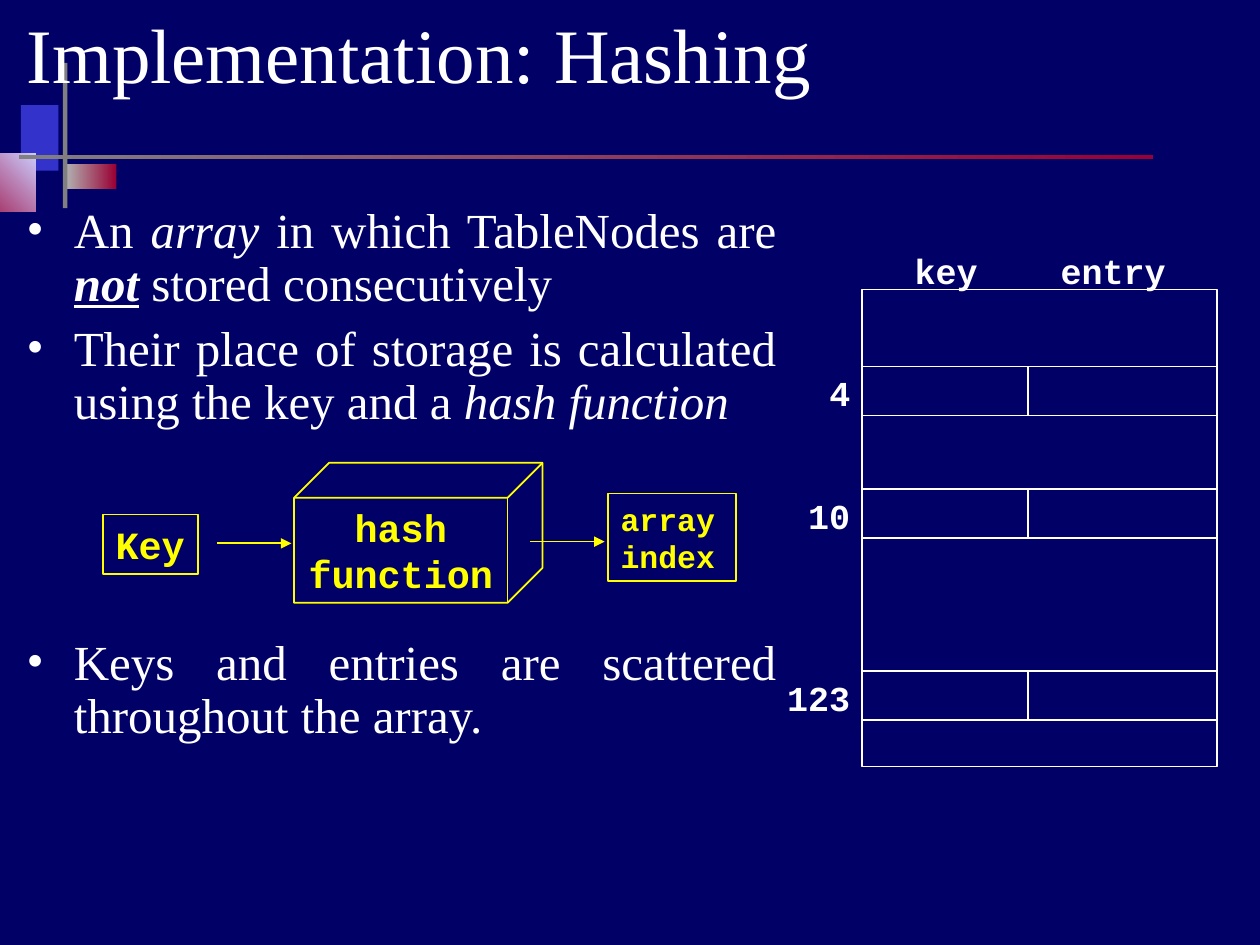
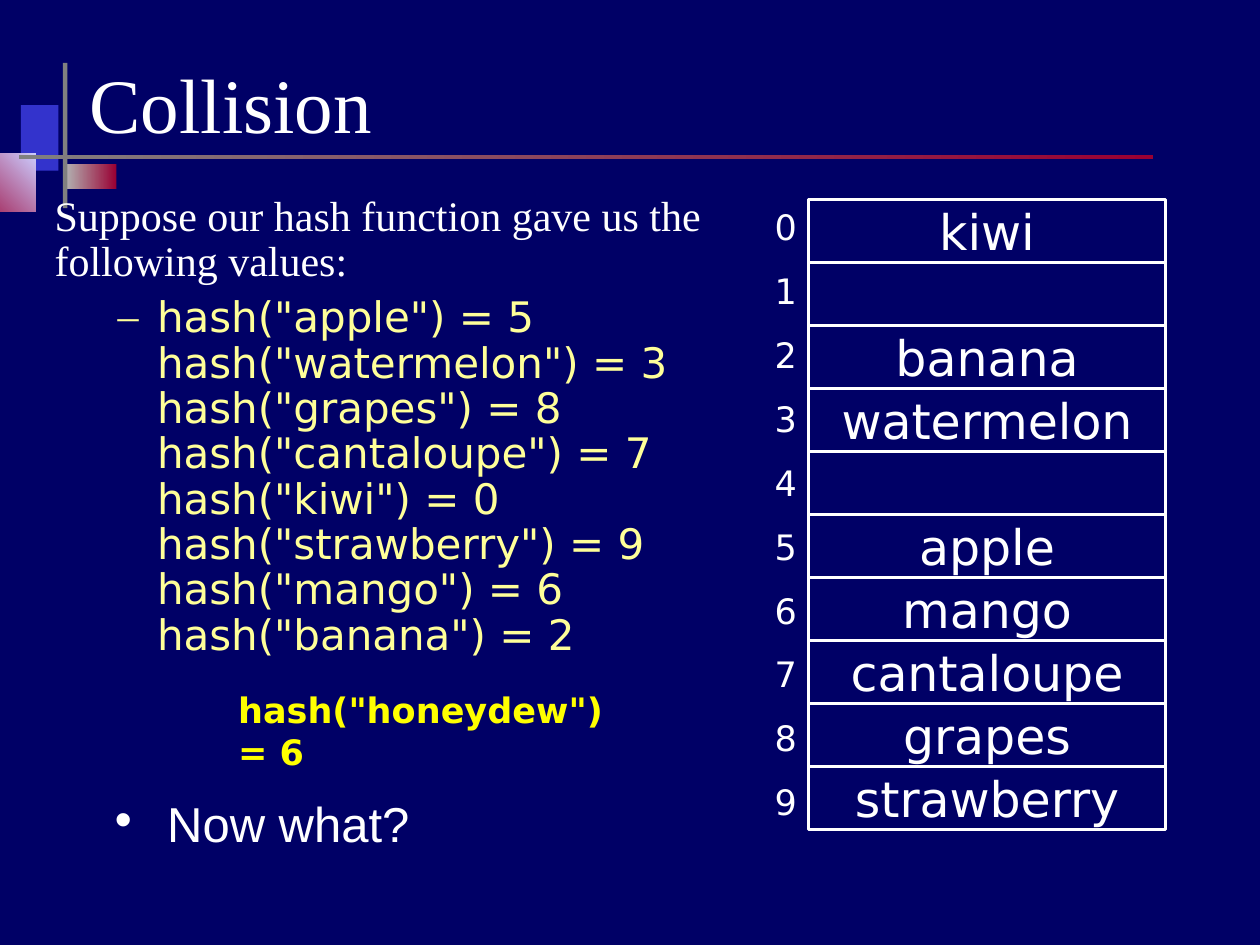
from lxml import etree
from pptx import Presentation
from pptx.dml.color import RGBColor
from pptx.enum import shapes, text
from pptx.oxml import ns
from pptx.util import Pt

NAVY, WHITE, YELLOW, PALE = "000066", "FFFFFF", "FFFF00", "FFFF99"
SERIF, MONO, SANS = "Times New Roman", "Courier New", "DejaVu Sans"
LEFT, CENTER, RIGHT = text.PP_ALIGN.LEFT, text.PP_ALIGN.CENTER, text.PP_ALIGN.RIGHT
RECT = shapes.MSO_SHAPE.RECTANGLE
HASHES = {"apple": 5, "watermelon": 3, "grapes": 8, "cantaloupe": 7,
          "kiwi": 0, "strawberry": 9, "mango": 6, "banana": 2}


def rgb(value):
    """Turn a hex string into a colour."""
    return RGBColor.from_string(value)


def points(*lengths):
    """Turn numbers into lengths in points."""
    return [Pt(length) for length in lengths]


def add_element(parent, tag, **attributes):
    """Append a drawing element and return it."""
    return etree.SubElement(parent, ns.qn(tag), attributes)


def style(paragraph, name, size, color, bold=None, align=LEFT):
    """Set the font and alignment of a paragraph."""
    font = paragraph.font
    font.name, font.size, font.bold = name, Pt(size), bold
    font.color.rgb = rgb(color)
    paragraph.alignment = align


def set_bullet(paragraph, margin, hang, mark, color, name):
    """Give a paragraph a hanging bullet."""
    properties = paragraph._p.get_or_add_pPr()
    properties.set("marL", str(Pt(margin)))
    properties.set("indent", str(-Pt(hang)))
    add_element(add_element(properties, "a:buClr"), "a:srgbClr", val=color)
    add_element(properties, "a:buFont", typeface=name)
    add_element(properties, "a:buChar", char=mark)


def clear_bullet(paragraph):
    """Remove the inherited bullet and indent."""
    properties = paragraph._p.get_or_add_pPr()
    properties.set("marL", "0")
    properties.set("indent", "0")
    add_element(properties, "a:buNone")


def write(box, words, name, size, color, bold=None, align=LEFT, wrap=True,
          anchor=text.MSO_ANCHOR.TOP):
    """Put one styled paragraph in a shape."""
    frame = box.text_frame
    frame.word_wrap, frame.vertical_anchor = wrap, anchor
    frame.auto_size = text.MSO_AUTO_SIZE.NONE
    paragraph = frame.paragraphs[0]
    paragraph.text = words
    style(paragraph, name, size, color, bold, align)
    return paragraph


def add_outline(parent, box, color=WHITE, width=1, kind=RECT):
    """Add an unfilled shape with a coloured outline."""
    shape = parent.shapes.add_shape(kind, *points(*box))
    shape.shadow.inherit = False
    shape.fill.background()
    shape.line.color.rgb = rgb(color)
    shape.line.width = Pt(width)
    return shape


def add_line(page, start, end, color, arrow=False):
    """Add a straight line, with an arrowhead if asked."""
    line = page.shapes.add_connector(shapes.MSO_CONNECTOR.STRAIGHT, *points(*start, *end))
    line.line.color.rgb = rgb(color)
    line.line.width = Pt(1)
    if arrow:
        add_element(line.line._get_or_add_ln(), "a:tailEnd", type="triangle")
    add_element(line._element.spPr, "a:effectLst")


def decorate_master(deck, page):
    """Put the background and the corner ornament on the slide master."""
    master = deck.slide_master
    master.background.fill.solid()
    master.background.fill.fore_color.rgb = rgb(NAVY)
    ornament = [
        ((12, 60, 21.5, 37.5), ["3333CC"], 0),
        ((37.5, 93.5, 29, 14.5), ["B2B2B2", "990033"], 0),
        ((-24, 87.5, 44.5, 33.5), ["990033", "CCCCFF"], 45),
        ((36, 36, 2.5, 83), ["808080"], 0),
        ((11, 88.5, 648, 2.5), ["808080", "990033"], 0),
    ]
    for number, (box, colors, angle) in enumerate(ornament, 20):
        part = page.shapes.add_shape(RECT, *points(*box))
        part.shadow.inherit = False
        part.line.fill.background()
        if len(colors) == 1:
            part.fill.solid()
            part.fill.fore_color.rgb = rgb(colors[0])
        else:
            part.fill.gradient()
            part.fill.gradient_angle = angle
            for stop, color in zip(part.fill.gradient_stops, colors):
                stop.color.rgb = rgb(color)
        part.element.nvSpPr.cNvPr.set("id", str(number))
        master.element.cSld.spTree.append(part.element)


def place(shape, box):
    """Move a placeholder to a box."""
    shape.left, shape.top, shape.width, shape.height = points(*box)


def set_title(page, words, box):
    """Fill and place the title."""
    place(page.shapes.title, box)
    write(page.shapes.title, words, SERIF, 44, WHITE, anchor=text.MSO_ANCHOR.MIDDLE)


def open_body(page, box):
    """Place the body and return its text frame."""
    body = page.placeholders[1]
    place(body, box)
    body.text_frame.auto_size = text.MSO_AUTO_SIZE.NONE
    return body.text_frame


def add_hashing_points(page, box):
    """Write the three justified points around the diagram."""
    frame = open_body(page, box)
    items = [
        (0, [("An ", ""), ("array", "i"), (" in which TableNodes are ", ""),
             ("not", "biu"), (" stored consecutively", "")]),
        (7, [("Their place of storage is calculated using the key and a ", ""),
             ("hash function", "i")]),
        (119, [("Keys and entries are scattered throughout the array.", "")]),
    ]
    for index, (gap, spans) in enumerate(items):
        para = frame.add_paragraph() if index else frame.paragraphs[0]
        set_bullet(para, 27, 27, "•", WHITE, SERIF)
        style(para, SERIF, 28, WHITE, align=text.PP_ALIGN.JUSTIFY)
        para.line_spacing, para.space_before = 0.9, Pt(gap)
        for words, marks in spans:
            span = para.add_run()
            span.text = words
            for mark in marks:
                setattr(span.font, {"b": "bold", "i": "italic", "u": "underline"}[mark], True)


def add_hash_flow(page, left, top):
    """Draw key, hash function and array index, joined by arrows."""
    key = add_outline(page, (left, top + 29.5, 54, 34), YELLOW)
    write(key, "Key", MONO, 22, YELLOW, True, wrap=False)
    cube = add_outline(page, (left + 109, top, 142, 80), YELLOW, kind=shapes.MSO_SHAPE.CUBE)
    write(cube, "hash function", MONO, 22, YELLOW, True, CENTER,
          anchor=text.MSO_ANCHOR.MIDDLE)
    result = add_outline(page, (left + 288.5, top + 17.5, 73, 50), YELLOW)
    write(result, "array index", MONO, 18, YELLOW, True)
    for x, y in ((65, 46), (244, 45)):
        add_line(page, (left + x, top + y), (left + x + 42.5, top + y), YELLOW, True)


def add_label(page, words, box, align=LEFT):
    """Add a bold label of the sparse array."""
    label = page.shapes.add_textbox(*points(*box))
    write(label, words, MONO, 20, WHITE, True, align)


def add_sparse_array(page, left, top, width, height):
    """Draw the array with its few occupied rows."""
    row_height, divider = 28, 95
    add_outline(page, (left, top, width, height))
    for words, offset, span in (("key", 23, 51), ("entry", 106.5, 76)):
        add_label(page, words, (left + offset, top - 26.5, span, 31.5))
    for words, offset in (("4", 44), ("10", 114), ("123", 218)):
        y = top + offset
        add_outline(page, (left, y, width, row_height))
        add_line(page, (left + divider, y), (left + divider, y + row_height), WHITE)
        add_label(page, words, (left - 60, y - 0.5, 60.5, 31.5), RIGHT)


def add_hash_values(page, box):
    """Write the introduction and the hash values."""
    frame = open_body(page, box)
    intro, values = frame.paragraphs[0], frame.add_paragraph()
    intro.text = "Suppose our hash function gave us the following values:"
    clear_bullet(intro)
    style(intro, SERIF, 24, WHITE)
    values.text = "\n".join(f'hash("{fruit}") = {slot}' for fruit, slot in HASHES.items())
    values.level = 1
    set_bullet(values, 58.5, 22.5, "–", PALE, SERIF)
    style(values, SANS, 24, PALE)
    for para, gap in ((intro, 0), (values, 6)):
        para.line_spacing, para.space_before = 0.9, Pt(gap)


def add_fruit_table(page, left, top, width, row_height):
    """Draw the numbered slots with the fruits they hold."""
    group = page.shapes.add_group_shape()
    fruits = {slot: fruit for fruit, slot in HASHES.items()}
    for slot in range(10):
        cell = add_outline(group, (left, top + slot * row_height, width, row_height),
                           width=2.25, kind=shapes.MSO_SHAPE.FLOWCHART_PROCESS)
        if slot in fruits:
            write(cell, fruits[slot], SANS, 28, WHITE, align=CENTER,
                  anchor=text.MSO_ANCHOR.MIDDLE)
    numbers = group.shapes.add_textbox(*points(left - 26.5, top, 26.5, 10 * row_height))
    write(numbers, "0", SANS, 20, WHITE, wrap=False)
    for slot in range(1, 10):
        para = numbers.text_frame.add_paragraph()
        para.text = str(slot)
        style(para, SANS, 20, WHITE)
        para.space_before = Pt(12.5)


def add_question(page, left, top):
    """Write the colliding value and the closing question."""
    clash = page.shapes.add_textbox(*points(left + 74, top, 232, 52))
    write(clash, 'hash("honeydew") = 6', SANS, 20, YELLOW, True)
    question = page.shapes.add_textbox(*points(left, top + 60, 186, 41))
    set_bullet(question.text_frame.paragraphs[0], 33.5, 33.5, "•", WHITE, MONO)
    write(question, "Now what?", "Arial", 28, WHITE)


def build_hashing(page):
    """Build the slide on hashing."""
    set_title(page, "Implementation: Hashing", (8, 6, 688, 48))
    add_hashing_points(page, (8, 114, 443, 384))
    add_sparse_array(page, 492.5, 165.5, 203, 272.5)
    add_hash_flow(page, 59, 264.5)


def build_collision(page):
    """Build the slide on collision."""
    set_title(page, "Collision", (44, 34.5, 652, 48))
    add_hash_values(page, (24, 108, 398, 306))
    add_fruit_table(page, 462, 114, 204, 36)
    add_question(page, 55, 390)


def main():
    """Build and save the deck."""
    deck = Presentation()
    deck.slide_width, deck.slide_height = points(720, 540)
    layout = deck.slide_layouts[1]
    hashing, collision = (deck.slides.add_slide(layout) for _ in range(2))
    decorate_master(deck, hashing)
    build_hashing(hashing)
    build_collision(collision)
    deck.save("out.pptx")


if __name__ == "__main__":
    main()
